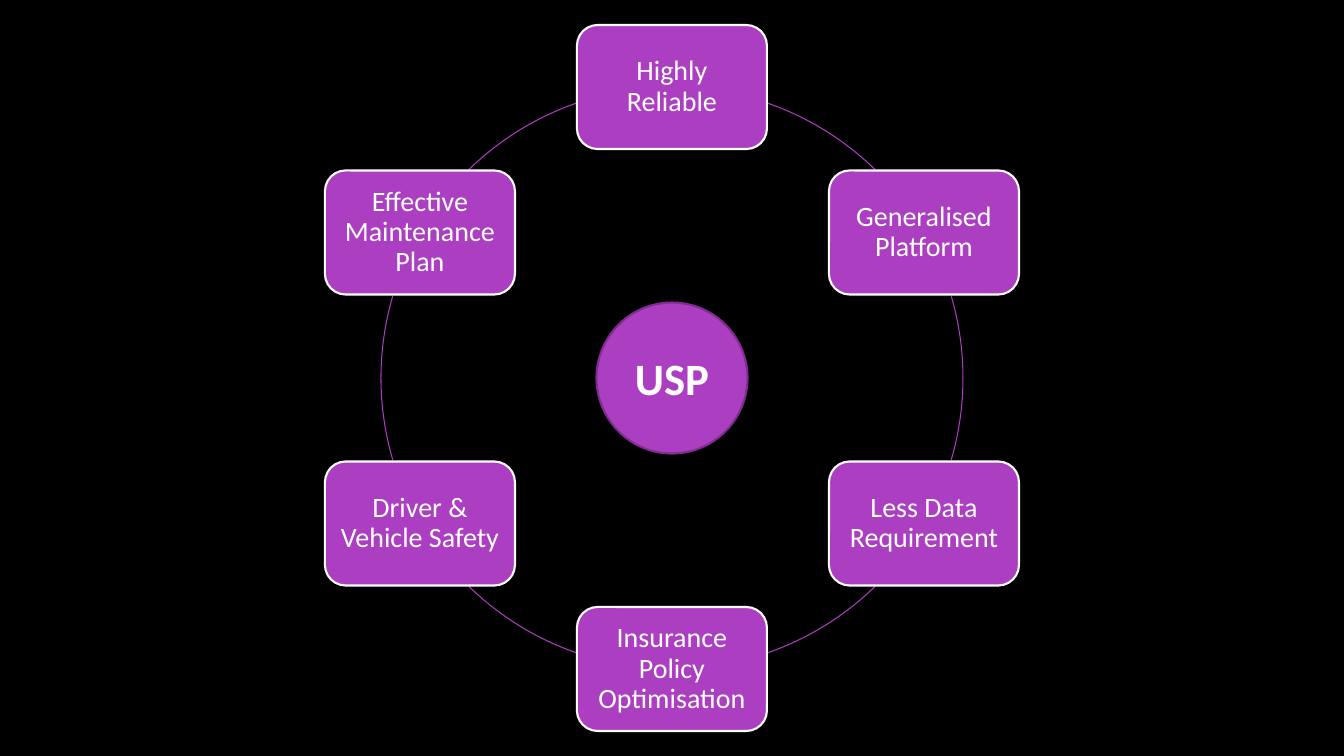
import math

from pptx import Presentation
from pptx.dml.color import RGBColor
from pptx.enum.shapes import MSO_SHAPE
from pptx.enum.text import MSO_ANCHOR, PP_ALIGN
from pptx.util import Pt

EMU_PER_PX = 914400 / 100.8
SLIDE_WIDTH, SLIDE_HEIGHT = 1344, 756
RING_RADIUS = 291
NODE_WIDTH, NODE_HEIGHT = 190, 124
HUB_SIZE = 151
INSET = 8

BLACK = RGBColor(0x00, 0x00, 0x00)
WHITE = RGBColor(0xFF, 0xFF, 0xFF)
PURPLE = RGBColor(0xAC, 0x3E, 0xC1)
DARK_PURPLE = RGBColor(0x7F, 0x2E, 0x8F)
FONT = "Calibri"

ARC = MSO_SHAPE.ARC
ROUNDED = MSO_SHAPE.ROUNDED_RECTANGLE
CONNECTOR_CIRCLE = MSO_SHAPE.FLOWCHART_CONNECTOR
MIDDLE = MSO_ANCHOR.MIDDLE
CENTER = PP_ALIGN.CENTER

STRENGTHS = [
    "Highly Reliable",
    "Generalised Platform",
    "Less Data Requirement",
    "Insurance Policy Optimisation",
    "Driver & Vehicle Safety",
    "Effective Maintenance Plan",
]
HALF_RING_ARCS = [(19.2, 44.3), (73.7, 106.3), (135.7, 160.8)]
ARC_ADJUSTMENT_PER_DEGREE = 0.6


def px(length):
    return round(length * EMU_PER_PX)


def add_centred_shape(slide, kind, centre, width, height, line_colour, line_width):
    shape = slide.shapes.add_shape(
        kind,
        px(centre[0] - width / 2),
        px(centre[1] - height / 2),
        px(width),
        px(height),
    )
    shape.shadow.inherit = False
    shape.line.color.rgb = line_colour
    shape.line.width = Pt(line_width)
    return shape


def add_label(shape, text, size, bold=False, line_spacing=None):
    shape.fill.solid()
    shape.fill.fore_color.rgb = PURPLE
    frame = shape.text_frame
    frame.word_wrap = True
    frame.vertical_anchor = MIDDLE
    frame.margin_left = frame.margin_right = px(INSET)
    frame.margin_top = frame.margin_bottom = px(INSET)
    paragraph = frame.paragraphs[0]
    paragraph.alignment = CENTER
    paragraph.line_spacing = line_spacing
    run = paragraph.add_run()
    run.text = text
    run.font.name = FONT
    run.font.size = Pt(size)
    run.font.bold = bold
    run.font.color.rgb = WHITE


def add_hub(slide, centre):
    hub = add_centred_shape(
        slide, CONNECTOR_CIRCLE, centre, HUB_SIZE, HUB_SIZE, DARK_PURPLE, 1.5
    )
    add_label(hub, "USP", 32, bold=True)


def add_ring_arcs(slide, centre):
    for half_turn in (0, 180):
        for angles in HALF_RING_ARCS:
            arc = add_centred_shape(
                slide, ARC, centre, 2 * RING_RADIUS, 2 * RING_RADIUS, PURPLE, 0.75
            )
            arc.fill.background()
            for index, angle in enumerate(angles):
                degrees = (angle + half_turn - 90) % 360
                arc.adjustments[index] = degrees * ARC_ADJUSTMENT_PER_DEGREE


def add_nodes(slide, centre):
    for index, strength in enumerate(STRENGTHS):
        angle = index * math.tau / len(STRENGTHS)
        node_centre = (
            centre[0] + RING_RADIUS * math.sin(angle),
            centre[1] - RING_RADIUS * math.cos(angle),
        )
        node = add_centred_shape(
            slide, ROUNDED, node_centre, NODE_WIDTH, NODE_HEIGHT, WHITE, 1.5
        )
        add_label(node, strength, 20, line_spacing=0.9)


def add_cycle_slide(presentation):
    slide = presentation.slides.add_slide(presentation.slide_layouts[6])
    slide.background.fill.solid()
    slide.background.fill.fore_color.rgb = BLACK
    centre = (SLIDE_WIDTH / 2, SLIDE_HEIGHT / 2)
    add_hub(slide, centre)
    add_ring_arcs(slide, centre)
    add_nodes(slide, centre)


def main():
    presentation = Presentation()
    presentation.slide_width = px(SLIDE_WIDTH)
    presentation.slide_height = px(SLIDE_HEIGHT)
    add_cycle_slide(presentation)
    presentation.save("out.pptx")


if __name__ == "__main__":
    main()
